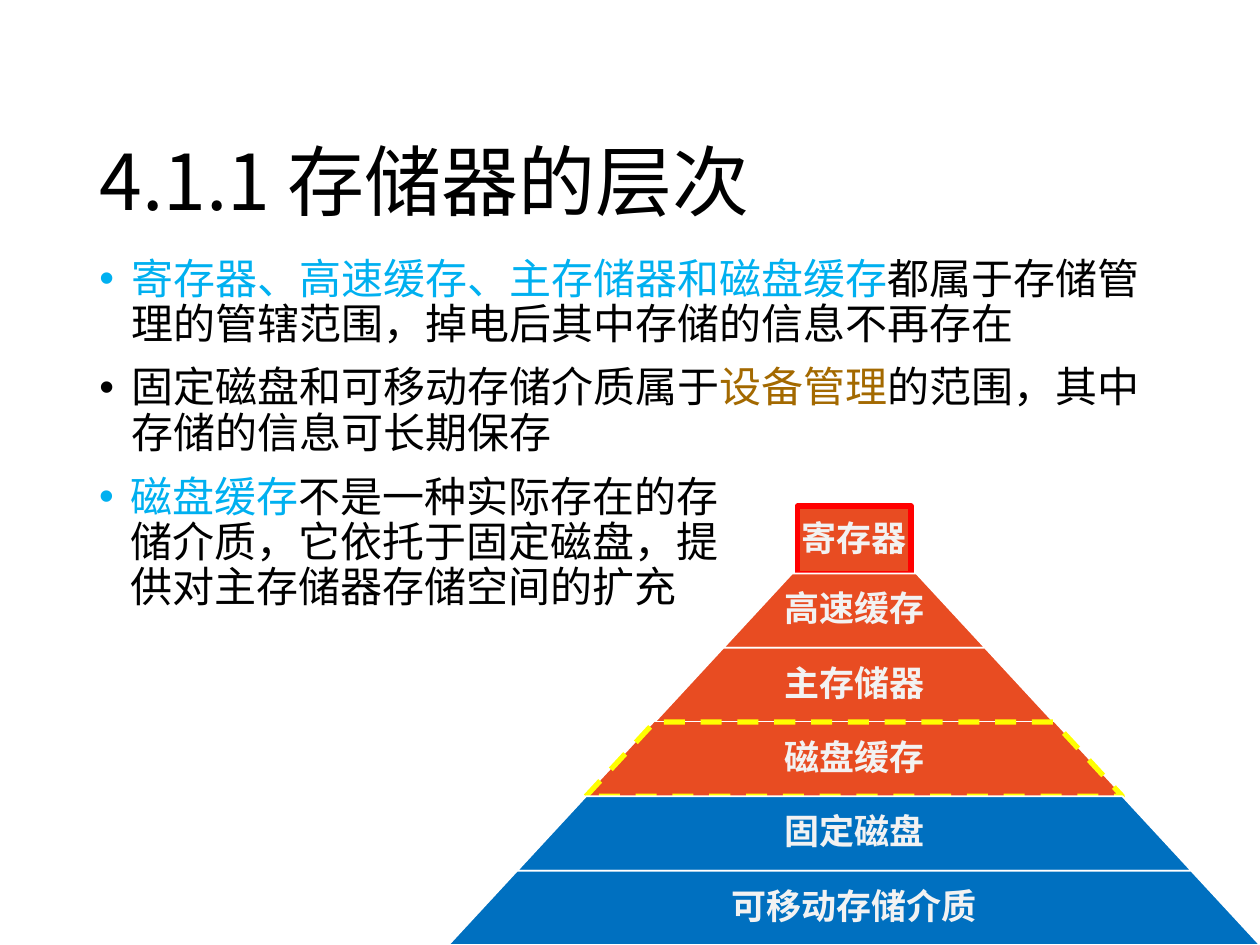
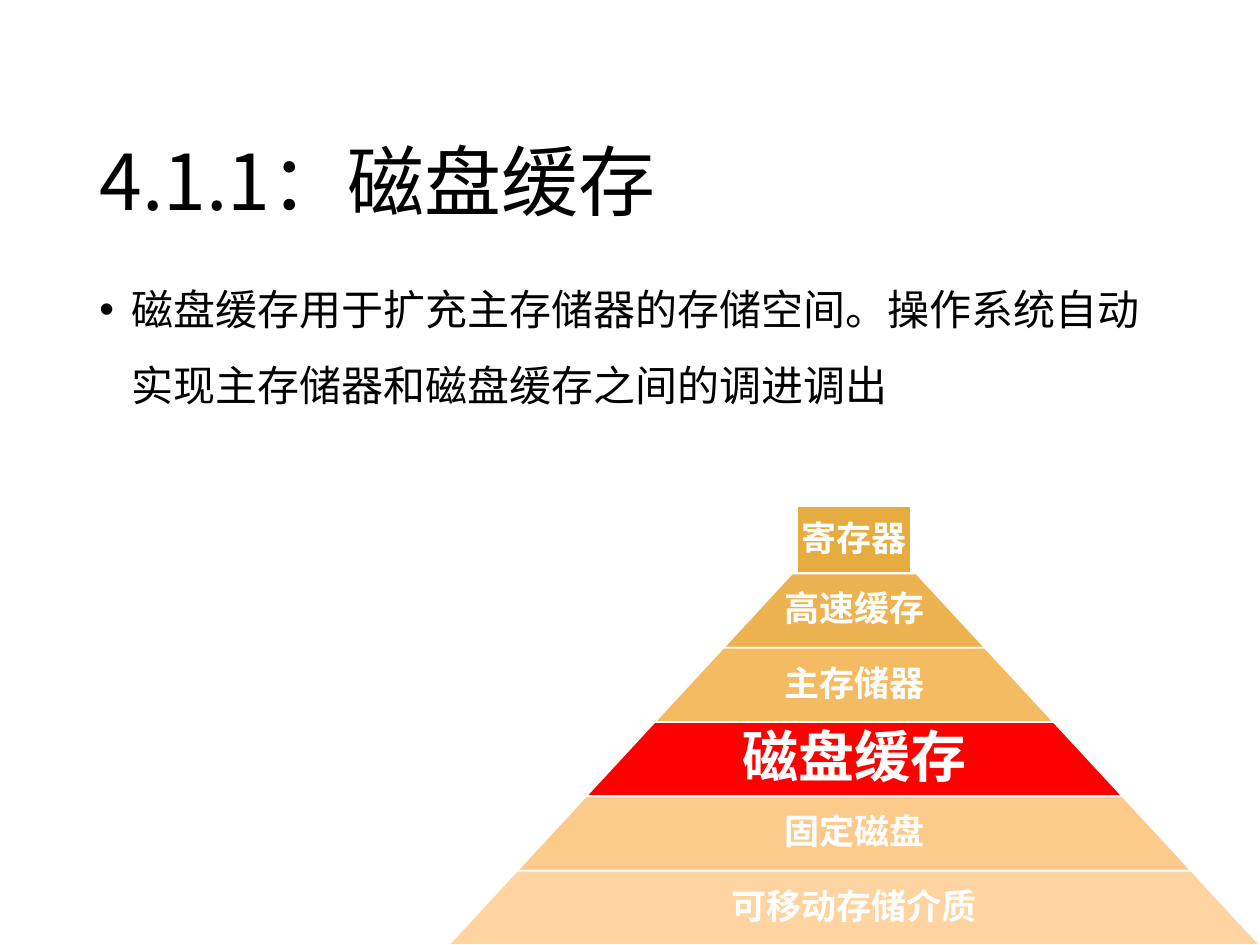
from dataclasses import dataclass
from typing import NamedTuple

from lxml.etree import SubElement
from pptx import Presentation
from pptx.dml.color import RGBColor
from pptx.enum.dml import MSO_LINE
from pptx.enum.shapes import MSO_SHAPE
from pptx.enum.text import MSO_ANCHOR, MSO_AUTO_SIZE, PP_ALIGN
from pptx.oxml.ns import qn
from pptx.util import Cm, Pt


@dataclass(frozen=True)
class Theme:
    text_font: str = "Noto Sans CJK SC"
    label_font: str = "Calibri"
    title_size: int = 44
    body_size: int = 24
    label_size: int = 20
    emphasis_size: int = 32
    ink: str = "000000"
    white: str = "FFFFFF"
    pale: str = "F2F2F2"
    sky: str = "00B0F0"
    ochre: str = "A36900"
    memory: str = "E84C22"
    device: str = "0070C0"
    red: str = "FF0000"
    yellow: str = "FFFF00"
    ambers: tuple = ("E7AC40", "EEB351", "F4BB63", "FF0000", "FCCB8B", "FFD4A0")


class Box(NamedTuple):
    left: float
    top: float
    width: float
    height: float

    def lengths(self):
        return [Cm(value) for value in self]


@dataclass(frozen=True)
class Tier:
    fill: str
    line: str = "FFFFFF"
    line_width: int = 1
    dash: bool = False
    label_color: str = "FFFFFF"
    label_size: int = 20


THEME = Theme()
TITLE_BOX = Box(1.75, 1.02, 21.9, 3.68)
BODY_BOX = Box(1.75, 5.08, 21.9, 12.09)
ASIDE_BOX = Box(1.75, 9.47, 13.31, 3.96)
PYRAMID_BOX = Box(9.04, 10.2, 16.36, 8.85)
CAP_WIDTH, CAP_HEIGHT = 2.29, 1.36
SLOPE = 37 / 40
LABEL_SHARE = 0.65
TIER_NAMES = ("寄存器", "高速缓存", "主存储器", "磁盘缓存", "固定磁盘", "可移动存储介质")


def style_span(span, font, size, color, bold=False):
    span.font.name = font
    span.font.size = Pt(size)
    span.font.bold = bold
    span.font.color.rgb = RGBColor.from_string(color)
    east_asian = SubElement(span.font._element, qn("a:ea"))
    east_asian.set("typeface", THEME.text_font)


def place(shape, box):
    shape.left, shape.top, shape.width, shape.height = box.lengths()


def add_title(page, box, words):
    title = page.shapes.title
    place(title, box)
    frame = title.text_frame
    frame.text = words
    frame.auto_size = MSO_AUTO_SIZE.NONE
    frame.vertical_anchor = MSO_ANCHOR.BOTTOM
    para = frame.paragraphs[0]
    para.alignment = PP_ALIGN.LEFT
    para.line_spacing = 0.9
    style_span(para.runs[0], THEME.text_font, THEME.title_size, THEME.ink)


def fill_list(shape, items, spacing=0.9):
    frame = shape.text_frame
    frame.word_wrap = True
    frame.auto_size = MSO_AUTO_SIZE.NONE
    for index, item in enumerate(items):
        para = frame.paragraphs[0] if index == 0 else frame.add_paragraph()
        para.line_spacing = spacing
        para.space_before = Pt(10)
        settings = para._p.get_or_add_pPr()
        settings.set("marL", str(Cm(0.64)))
        settings.set("indent", str(-Cm(0.64)))
        SubElement(settings, qn("a:buFont")).set("typeface", "Arial")
        SubElement(settings, qn("a:buChar")).set("char", "•")
        for words, color in item:
            span = para.add_run()
            span.text = words
            style_span(span, THEME.text_font, THEME.body_size, color)


def add_body(page, box, items, spacing=0.9):
    body = page.placeholders[1]
    place(body, box)
    fill_list(body, items, spacing)


def add_aside(page, box, items):
    fill_list(page.shapes.add_textbox(*box.lengths()), items)


def add_tier(group, kind, box, label_width, name, tier):
    shape = group.shapes.add_shape(kind, *box.lengths())
    shape.shadow.inherit = False
    if kind == MSO_SHAPE.TRAPEZOID:
        shape.adjustments[0] = SLOPE
    shape.fill.solid()
    shape.fill.fore_color.rgb = RGBColor.from_string(tier.fill)
    shape.line.color.rgb = RGBColor.from_string(tier.line)
    shape.line.width = Pt(tier.line_width)
    if tier.dash:
        shape.line.dash_style = MSO_LINE.DASH

    label_left = box.left + (box.width - label_width) / 2
    label_box = Box(label_left, box.top, label_width, box.height)
    frame = group.shapes.add_textbox(*label_box.lengths()).text_frame
    frame.word_wrap = True
    frame.vertical_anchor = MSO_ANCHOR.MIDDLE
    frame.margin_left = frame.margin_right = Cm(0.08)
    frame.margin_top = frame.margin_bottom = Cm(0.08)
    frame.text = name
    para = frame.paragraphs[0]
    para.alignment = PP_ALIGN.CENTER
    para.line_spacing = 0.9
    style_span(para.runs[0], THEME.label_font, tier.label_size, tier.label_color, True)


def add_pyramid(page, box, tiers):
    group = page.shapes.add_group_shape()
    center = box.left + box.width / 2
    step = (box.height - CAP_HEIGHT) / (len(tiers) - 1)
    cap = Box(center - CAP_WIDTH / 2, box.top, CAP_WIDTH, CAP_HEIGHT)
    add_tier(group, MSO_SHAPE.RECTANGLE, cap, CAP_WIDTH, TIER_NAMES[0], tiers[0])
    for index, (name, tier) in enumerate(zip(TIER_NAMES[1:], tiers[1:])):
        tiers_below = len(tiers) - 2 - index
        width = box.width - 2 * SLOPE * step * tiers_below
        top = box.top + CAP_HEIGHT + index * step
        layer = Box(center - width / 2, top, width, step)
        add_tier(group, MSO_SHAPE.TRAPEZOID, layer, width * LABEL_SHARE, name, tier)


def add_page(deck, title):
    page = deck.slides.add_slide(deck.slide_layouts[1])
    add_title(page, TITLE_BOX, title)
    return page


def build_hierarchy_page(deck):
    page = add_page(deck, "4.1.1 存储器的层次")
    add_body(page, BODY_BOX, [
        [("寄存器、高速缓存、主存储器和磁盘缓存", THEME.sky),
         ("都属于存储管理的管辖范围，掉电后其中存储的信息不再存在", THEME.ink)],
        [("固定磁盘和可移动存储介质属于", THEME.ink),
         ("设备管理", THEME.ochre),
         ("的范围，其中存储的信息可长期保存", THEME.ink)],
    ])
    memory = Tier(THEME.memory, label_color=THEME.pale)
    device = Tier(THEME.device, label_color=THEME.pale)
    register = Tier(THEME.memory, THEME.red, 3, label_color=THEME.pale)
    disk_cache = Tier(THEME.memory, THEME.yellow, 3, True, THEME.pale)
    add_pyramid(page, PYRAMID_BOX, [register, memory, memory, disk_cache, device, device])
    add_aside(page, ASIDE_BOX, [
        [("磁盘缓存", THEME.sky),
         ("不是一种实际存在的存储介质，它依托于固定磁盘，提供对主存储器存储空间的扩充", THEME.ink)],
    ])


def build_disk_cache_page(deck):
    page = add_page(deck, "4.1.1：磁盘缓存")
    add_body(page, BODY_BOX, [
        [("磁盘缓存用于扩充主存储器的存储空间。操作系统自动实现主存储器和磁盘缓存之间的调进调出", THEME.ink)],
    ], spacing=1.5)
    tiers = [
        Tier(color, label_size=THEME.emphasis_size if color == THEME.red else THEME.label_size)
        for color in THEME.ambers
    ]
    add_pyramid(page, PYRAMID_BOX, tiers)


deck = Presentation()
deck.slide_width, deck.slide_height = Cm(25.4), Cm(19.05)
build_hierarchy_page(deck)
build_disk_cache_page(deck)
deck.save("out.pptx")
